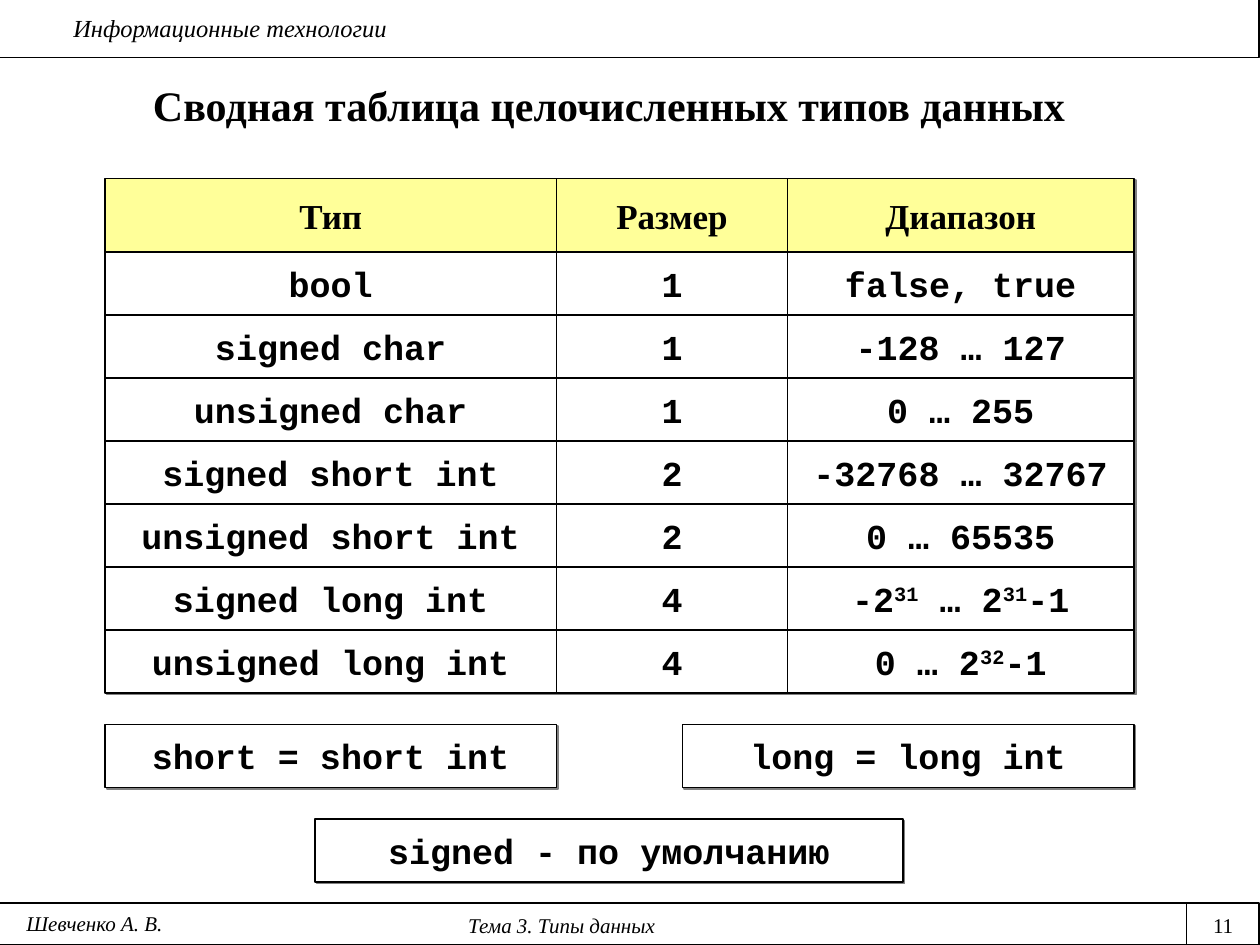
from lxml.etree import SubElement
from pptx import Presentation
from pptx.dml.color import RGBColor
from pptx.enum.shapes import MSO_CONNECTOR, MSO_SHAPE
from pptx.enum.text import MSO_ANCHOR, MSO_AUTO_SIZE, PP_ALIGN
from pptx.oxml.ns import qn
from pptx.util import Inches, Pt

BLACK = RGBColor(0x00, 0x00, 0x00)
WHITE = RGBColor(0xFF, 0xFF, 0xFF)
YELLOW = RGBColor(0xFF, 0xFF, 0x99)
SHADOW = RGBColor(0x80, 0x80, 0x80)

SERIF = "Times New Roman"
MONO = "Courier New"

# The page is a grid of 120 columns by 90 rows, 12 to the inch.
COLUMNS, ROWS = 120, 90
UNIT = Inches(1) / 12

TABLE_LEFT, TABLE_TOP = 10, 17
COLUMN_WIDTHS = (43, 22, 33)
HEADER_HEIGHT, ROW_HEIGHT = 7, 6
FOOTER_TOP = 86
NUMBER_LEFT = 113

HEADINGS = ("Тип", "Размер", "Диапазон")
# Text between two ^ signs is raised.
INTEGER_TYPES = (
    ("bool", "1", "false, true"),
    ("signed char", "1", "-128 … 127"),
    ("unsigned char", "1", "0 … 255"),
    ("signed short int", "2", "-32768 … 32767"),
    ("unsigned short int", "2", "0 … 65535"),
    ("signed long int", "4", "-2^31^ … 2^31^-1"),
    ("unsigned long int", "4", "0 … 2^32^-1"),
)


def units(*counts):
    return [round(count * UNIT) for count in counts]


class Page:
    """The slide being built, with lengths given in grid units."""

    def __init__(self, deck):
        self.slide = deck.slides.add_slide(deck.slide_layouts[6])

    def set_text(self, frame, text, font, size, bold=False, italic=False,
                 align=PP_ALIGN.CENTER, before=0):
        """Fill the frame with one paragraph, raising text between ^ signs."""
        frame.word_wrap = True
        para = frame.paragraphs[0]
        para.alignment = align
        para.space_before = Pt(before)
        para.font.name, para.font.size = font, Pt(size)
        para.font.bold, para.font.italic = bold, italic
        para.font.color.rgb = BLACK
        for index, part in enumerate(text.split("^")):
            span = para.add_run()
            span.text = part
            if index % 2:
                span.font._element.set("baseline", "30000")

    def rectangle(self, area, fill=WHITE, weight=0.75):
        box = self.slide.shapes.add_shape(MSO_SHAPE.RECTANGLE, *units(*area))
        box.shadow.inherit = False
        box.fill.solid()
        box.fill.fore_color.rgb = fill
        box.line.color.rgb = BLACK
        box.line.width = Pt(weight)
        return box

    def cell(self, area, text, font=MONO, fill=WHITE):
        """Draw a bordered box with bold text and a hard grey shadow."""
        box = self.rectangle(area, fill, weight=1)
        effects = box._element.spPr.find(qn("a:effectLst"))
        shadow = SubElement(effects, qn("a:outerShdw"),
                            dist=str(int(Pt(1.4))), dir="2700000", algn="ctr")
        SubElement(shadow, qn("a:srgbClr"), val=str(SHADOW))
        box.text_frame.vertical_anchor = MSO_ANCHOR.MIDDLE
        self.set_text(box.text_frame, text, font, 20, bold=True)

    def table_row(self, top, height, texts, **style):
        left = TABLE_LEFT
        for width, text in zip(COLUMN_WIDTHS, texts):
            self.cell((left, top, width, height), text, **style)
            left += width

    def label(self, area, text, size, **style):
        box = self.slide.shapes.add_textbox(*units(*area))
        box.text_frame.auto_size = MSO_AUTO_SIZE.SHAPE_TO_FIT_TEXT
        self.set_text(box.text_frame, text, SERIF, size, **style)

    def title(self, area, text):
        box = self.slide.shapes.add_textbox(*units(*area))
        box.text_frame.vertical_anchor = MSO_ANCHOR.MIDDLE
        self.set_text(box.text_frame, text, SERIF, 24, bold=True)

    def line(self, *ends):
        rule = self.slide.shapes.add_connector(MSO_CONNECTOR.STRAIGHT, *units(*ends))
        rule.line.color.rgb = BLACK
        rule.line.width = Pt(0.75)
        SubElement(rule._element.spPr, qn("a:effectLst"))


def main():
    deck = Presentation()
    deck.slide_width, deck.slide_height = units(COLUMNS, ROWS)
    page = Page(deck)

    page.rectangle((-0.1, FOOTER_TOP, COLUMNS, ROWS - FOOTER_TOP))
    page.rectangle((-0.1, -0.1, COLUMNS, 5.6))
    page.label((5.8, 0.7, 113, 4.1), "Информационные технологии", 14,
               italic=True, align=PP_ALIGN.LEFT)
    page.label((0, 86.3, 107, 3.6), "Тема 3. Типы данных", 12, italic=True, before=7.5)
    page.label((NUMBER_LEFT, 86.3, COLUMNS - NUMBER_LEFT, 3.6), "11", 12, before=7.5)
    page.line(NUMBER_LEFT, FOOTER_TOP, NUMBER_LEFT, ROWS)
    page.title((3, 7, 110, 6), "Сводная таблица целочисленных типов данных")
    page.label((0, 86.1, 18, 3.6), "Шевченко А. В.", 12, italic=True, before=7.5)

    page.table_row(TABLE_TOP, HEADER_HEIGHT, HEADINGS, font=SERIF, fill=YELLOW)
    body_top = TABLE_TOP + HEADER_HEIGHT
    for index, texts in enumerate(INTEGER_TYPES):
        page.table_row(body_top + index * ROW_HEIGHT, ROW_HEIGHT, texts)

    note_width = COLUMN_WIDTHS[0]
    table_right = TABLE_LEFT + sum(COLUMN_WIDTHS)
    page.cell((TABLE_LEFT, 69, note_width, ROW_HEIGHT), "short = short int")
    page.cell((table_right - note_width, 69, note_width, ROW_HEIGHT), "long = long int")
    page.cell((30, 78, 56, ROW_HEIGHT), "signed - по умолчанию")

    deck.save("out.pptx")


if __name__ == "__main__":
    main()
